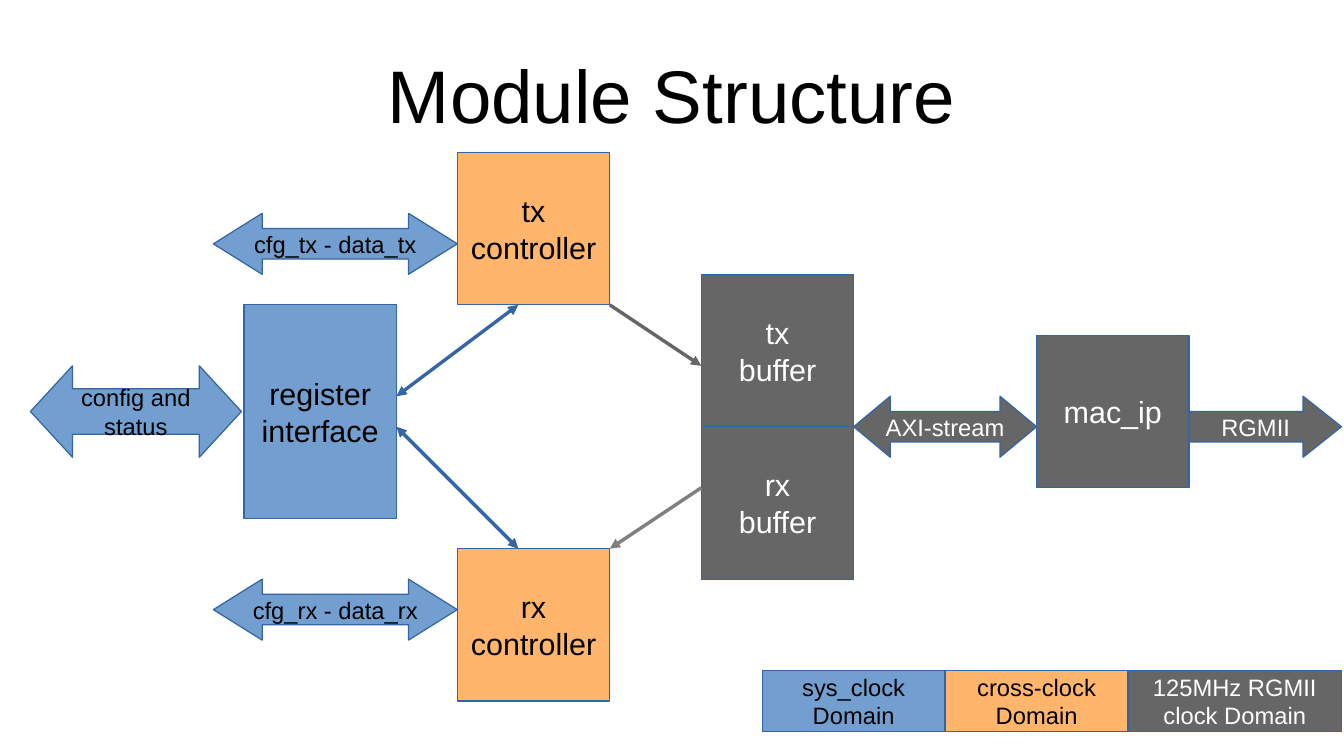
"""Build the Module Structure block diagram slide."""
from dataclasses import dataclass
from typing import Any

import pptx
import pptx.dml.color
import pptx.enum.shapes
import pptx.enum.text
import pptx.oxml
import pptx.oxml.ns
import pptx.util

Inches = pptx.util.Inches
Kind = pptx.enum.shapes.MSO_SHAPE


@dataclass(frozen=True)
class Theme:
    font: str = "Arial"
    title_size: int = 44
    block_size: int = 18
    label_size: int = 14
    black: str = "000000"
    white: str = "FFFFFF"
    outline: str = "3465A4"
    sys_clock: str = "729FCF"
    cross_clock: str = "FFB66C"
    rgmii_clock: str = "666666"
    rx_line: str = "808080"


@dataclass(frozen=True)
class Box:
    text: str
    left: float
    top: float
    width: float
    height: float
    fill: str
    size: int
    kind: Any = Kind.RECTANGLE
    head: float = 0


@dataclass(frozen=True)
class Link:
    start: tuple[float, float]
    end: tuple[float, float]
    color: str
    both_ways: bool = False


T = Theme()
SIDE = 1.25
LEGEND_TOP = 5.5

BLOCKS = [
    Box("register\ninterface", 2, 2.5, SIDE, 1.75, T.sys_clock, T.block_size),
    Box("tx\ncontroller", 3.75, 1.25, SIDE, SIDE, T.cross_clock, T.block_size),
    Box("rx\ncontroller", 3.75, 4.5, SIDE, SIDE, T.cross_clock, T.block_size),
    Box("tx\nbuffer", 5.75, 2.25, SIDE, SIDE, T.rgmii_clock, T.block_size),
    Box("rx\nbuffer", 5.75, 3.5, SIDE, SIDE, T.rgmii_clock, T.block_size),
    Box("mac_ip", 8.5, 2.75, SIDE, SIDE, T.rgmii_clock, T.block_size),
]
BUSES = [
    Box("AXI-stream", 7, 3.25, 1.5, 0.5, T.rgmii_clock, T.label_size, Kind.LEFT_RIGHT_ARROW, 0.6),
    Box("RGMII", 9.75, 3.25, 1.25, 0.5, T.rgmii_clock, T.label_size, Kind.RIGHT_ARROW, 0.63),
    Box("config and status", 0.25, 3, 1.73, 0.75, T.sys_clock, T.label_size, Kind.LEFT_RIGHT_ARROW, 0.46),
    Box("cfg_tx - data_tx", 1.75, 1.75, 2, 0.5, T.sys_clock, T.label_size, Kind.LEFT_RIGHT_ARROW, 0.8),
    Box("cfg_rx - data_rx", 1.75, 4.75, 2, 0.5, T.sys_clock, T.label_size, Kind.LEFT_RIGHT_ARROW, 0.8),
]
LINKS = [
    Link((5, 2.5), (5.75, 3), T.rgmii_clock),
    Link((3.25, 3.25), (4.25, 2.5), T.outline, True),
    Link((3.25, 3.5), (4.25, 4.5), T.outline, True),
    Link((5.75, 4), (5, 4.5), T.rx_line),
]
LEGEND = [
    Box("sys_clock Domain", 6.25, LEGEND_TOP, 1.5, 0.5, T.sys_clock, T.label_size),
    Box("cross-clock Domain", 7.75, LEGEND_TOP, 1.5, 0.5, T.cross_clock, T.label_size),
    Box("125MHz RGMII clock Domain", 9.25, LEGEND_TOP, 1.75, 0.5, T.rgmii_clock, T.label_size),
]


def rgb(code: str) -> pptx.dml.color.RGBColor:
    return pptx.dml.color.RGBColor.from_string(code)


def set_text(sp: Any, text: str, size: int, color: str) -> None:
    tf = sp.text_frame
    tf.text = text
    tf.word_wrap = True
    tf.vertical_anchor = pptx.enum.text.MSO_ANCHOR.MIDDLE
    for p in tf.paragraphs:
        p.alignment = pptx.enum.text.PP_ALIGN.CENTER
        for r in p.runs:
            r.font.name = T.font
            r.font.size = pptx.util.Pt(size)
            r.font.color.rgb = rgb(color)


def add_title(s: Any, text: str) -> None:
    sp = s.shapes.add_textbox(Inches(0.55), Inches(0.25), Inches(9.92), Inches(1.04))
    set_text(sp, text, T.title_size, T.black)
    tf = sp.text_frame
    tf.margin_left = tf.margin_right = tf.margin_top = tf.margin_bottom = 0


def add_box(s: Any, box: Box) -> None:
    sp = s.shapes.add_shape(
        box.kind, Inches(box.left), Inches(box.top), Inches(box.width), Inches(box.height)
    )
    sp.shadow.inherit = False
    sp.fill.solid()
    sp.fill.fore_color.rgb = rgb(box.fill)
    sp.line.color.rgb = rgb(T.outline)
    sp.line.width = 0
    if box.head:
        sp.adjustments[0] = 0.5
        sp.adjustments[1] = box.head
    set_text(sp, box.text, box.size, T.white if box.fill == T.rgmii_clock else T.black)


def add_link(s: Any, link: Link) -> None:
    x1, y1, x2, y2 = (Inches(v) for v in link.start + link.end)
    sp = s.shapes.add_connector(pptx.enum.shapes.MSO_CONNECTOR.STRAIGHT, x1, y1, x2, y2)
    sp.line.color.rgb = rgb(link.color)
    sp.line.width = 0
    ln = sp.line._get_or_add_ln()
    for tag in ("a:headEnd", "a:tailEnd") if link.both_ways else ("a:tailEnd",):
        end = pptx.oxml.parse_xml(f"<{tag} {pptx.oxml.ns.nsdecls('a')} type='triangle'/>")
        ln.append(end)
    ln.addnext(pptx.oxml.parse_xml(f"<a:effectLst {pptx.oxml.ns.nsdecls('a')}/>"))


def main() -> None:
    prs = pptx.Presentation()
    prs.slide_width, prs.slide_height = Inches(11.02), Inches(6.2)
    s = prs.slides.add_slide(prs.slide_layouts[6])
    add_title(s, "Module Structure")
    for box in BLOCKS + BUSES:
        add_box(s, box)
    for link in LINKS:
        add_link(s, link)
    for box in LEGEND:
        add_box(s, box)
    prs.save("out.pptx")


if __name__ == "__main__":
    main()
